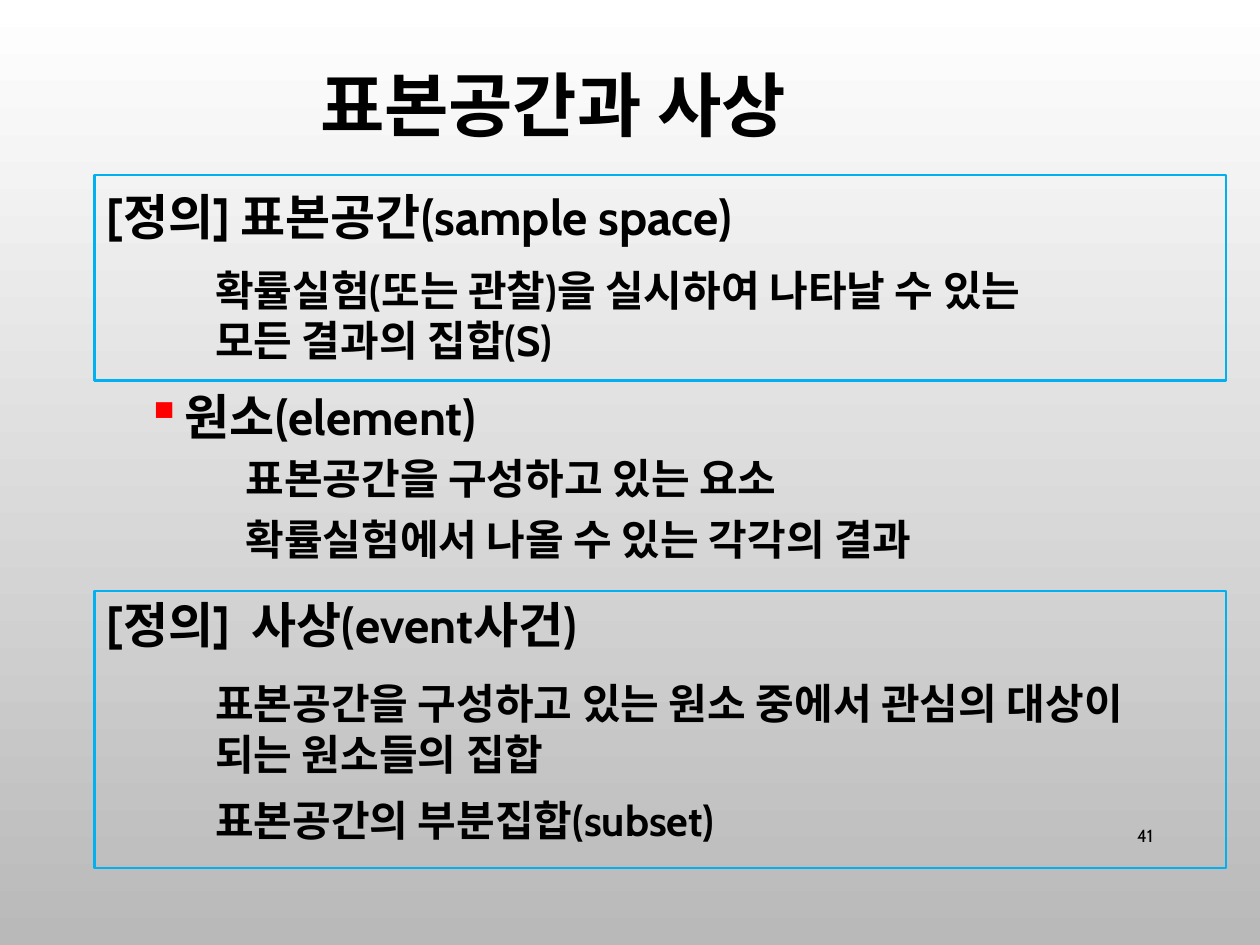
"""Build a slide that defines sample space, element and event."""
from lxml.etree import SubElement
from pptx import Presentation
from pptx.dml.color import RGBColor
from pptx.enum.shapes import MSO_SHAPE
from pptx.enum.text import MSO_ANCHOR, MSO_AUTO_SIZE, PP_ALIGN
from pptx.oxml.ns import qn
from pptx.util import Inches, Pt

BLACK = RGBColor(0x00, 0x00, 0x00)
WHITE = RGBColor(0xFF, 0xFF, 0xFF)
GRAY = RGBColor(0xB9, 0xB9, 0xB9)
RED = RGBColor(0xFF, 0x00, 0x00)
BLUE = RGBColor(0x00, 0xB0, 0xF0)
FONT = "Cabin"


def write_text(shape, text, size=24, bold=True, align=PP_ALIGN.LEFT,
               anchor=MSO_ANCHOR.TOP, auto_size=MSO_AUTO_SIZE.SHAPE_TO_FIT_TEXT,
               line_spacing=None):
    frame = shape.text_frame
    frame.text = text
    frame.word_wrap = True
    frame.auto_size = auto_size
    frame.vertical_anchor = anchor
    for paragraph in frame.paragraphs:
        paragraph.alignment = align
        paragraph.line_spacing = line_spacing
        font = paragraph.runs[0].font
        font.name = FONT
        font.size = Pt(size)
        font.bold = bold
        font.color.rgb = BLACK
    return shape


def add_text(left, top, width, height, text, **text_format):
    box = slide.shapes.add_textbox(Inches(left), Inches(top), Inches(width), Inches(height))
    return write_text(box, text, **text_format)


presentation = Presentation()
presentation.slide_width = Inches(10)
presentation.slide_height = Inches(7.5)
slide = presentation.slides.add_slide(presentation.slide_layouts[5])

background = slide.background.fill
background.gradient()
background.gradient_angle = 270
for stop, color in zip(background.gradient_stops, (WHITE, GRAY)):
    stop.color.rgb = color

title = slide.shapes.title
title.left, title.top = Inches(0.53), Inches(0.5)
title.width, title.height = Inches(7.72), Inches(0.73)
write_text(title, "표본공간과 사상", size=40, align=PP_ALIGN.CENTER,
           anchor=MSO_ANCHOR.MIDDLE, auto_size=MSO_AUTO_SIZE.NONE, line_spacing=0.9)

add_text(8.62, 6.43, 0.63, 0.4, "41", size=10, bold=False, align=PP_ALIGN.RIGHT,
         anchor=MSO_ANCHOR.MIDDLE, auto_size=MSO_AUTO_SIZE.NONE)

add_text(0.75, 1.43, 6.61, 0.57, "[정의] 표본공간(sample space)", size=28)
element_heading = add_text(1.06, 3.02, 3.31, 0.57, "원소(element)", size=28)
add_text(0.75, 4.67, 6.61, 0.57, "[정의]  사상(event사건)", size=28)

properties = element_heading.text_frame.paragraphs[0]._p.get_or_add_pPr()
properties.set("marL", str(Inches(0.31)))
properties.set("indent", str(Inches(-0.31)))
bullet_color = SubElement(properties, qn("a:buClr"))
SubElement(bullet_color, qn("a:srgbClr"), val=str(RED))
SubElement(properties, qn("a:buChar"), char="▪")

explanations = [
    (1.61, 2.05, 7.8, 0.91, "확률실험(또는 관찰)을 실시하여 나타날 수 있는\n모든 결과의 집합(S)"),
    (1.85, 3.54, 5.2, 0.5, "표본공간을 구성하고 있는 요소"),
    (1.85, 4.03, 6.22, 0.5, "확률실험에서 나올 수 있는 각각의 결과"),
    (1.61, 5.33, 8.03, 0.91, "표본공간을 구성하고 있는 원소 중에서 관심의 대상이 되는 원소들의 집합"),
    (1.61, 6.26, 6.46, 0.5, "표본공간의 부분집합(subset)"),
]
for left, top, width, height, text in explanations:
    add_text(left, top, width, height, text)

for top, height in ((1.39, 1.63), (4.69, 2.2)):
    frame_box = slide.shapes.add_shape(
        MSO_SHAPE.RECTANGLE, Inches(0.75), Inches(top), Inches(8.98), Inches(height))
    frame_box.shadow.inherit = False
    frame_box.fill.background()
    frame_box.line.color.rgb = BLUE
    frame_box.line.width = Pt(1.25)

presentation.save("out.pptx")
